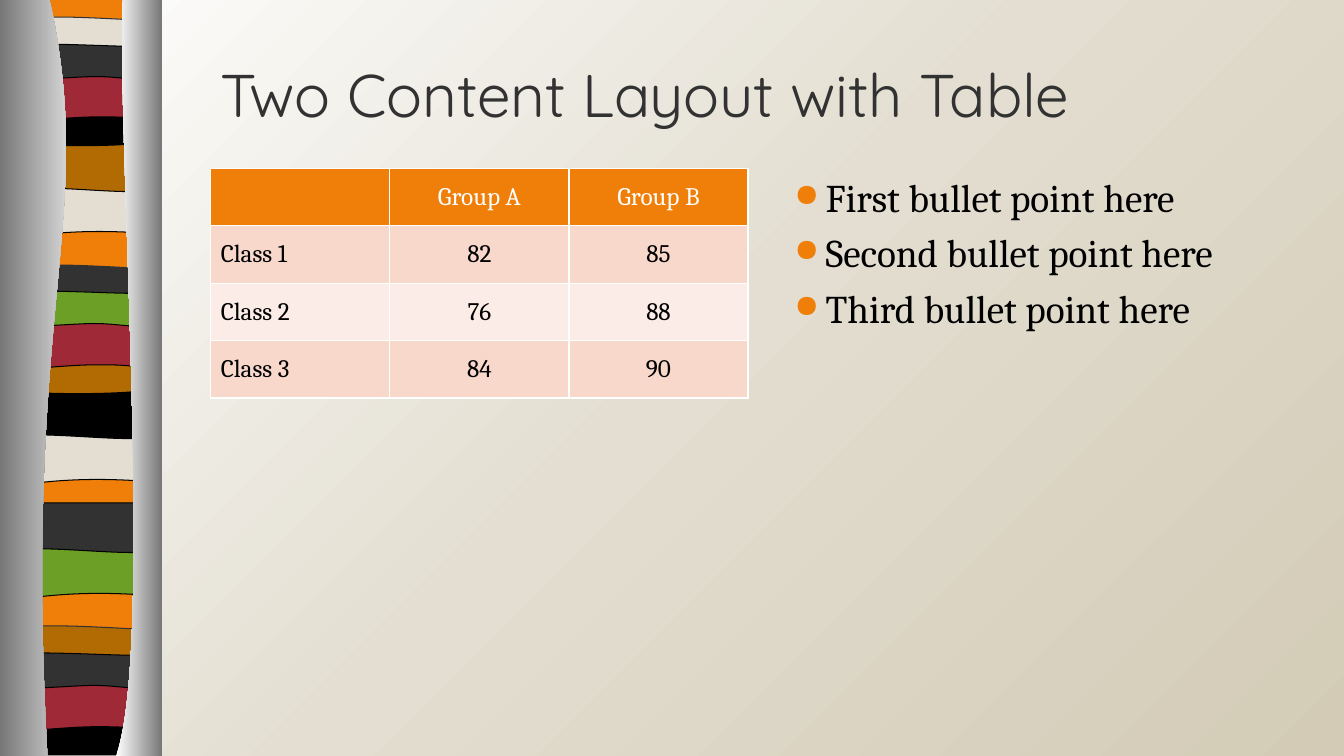
from lxml import etree
from pptx import Presentation
from pptx.dml.color import RGBColor
from pptx.enum.shapes import MSO_SHAPE
from pptx.enum.text import MSO_ANCHOR, PP_ALIGN
from pptx.oxml import parse_xml
from pptx.oxml.ns import nsdecls, qn
from pptx.util import Inches, Pt

RECT = MSO_SHAPE.RECTANGLE
MIDDLE, TOP = MSO_ANCHOR.MIDDLE, MSO_ANCHOR.TOP
LEFT, CENTER = PP_ALIGN.LEFT, PP_ALIGN.CENTER

ORANGE, CREAM, BROWN, BLACK = "F07F09", "E3DED1", "B26B02", "000000"
RED, DARK, GREEN, WHITE = "9F2936", "323232", "6B9F25", "FFFFFF"
GREY, SAND = "767676", "D3CBB6"
PINK, PALE_PINK = "F9D8CC", "FCECE7"

TITLE = {"name": "Quicksand", "size": Pt(43), "color": DARK}
BODY = {"name": "Cambria", "size": Pt(28), "color": BLACK}
CELL = {"name": "Cambria", "size": Pt(18), "color": BLACK}

OUTLINES = {
    "dip": [(1.5, 0), (1.5, .47), (.46, .39, .24, .55, 0, .47), (0, 0)],
    "swell": [(1.5, 0), (1.5, .47), (1.24, .54, .46, .41, 0, .47), (0, 0)],
    "lens": [(1.5, .05), (1.5, .29), (1.25, .33, .25, .33, 0, .29), (0, .05),
             (.09, 0, .32, .01, .57, .01), (.82, .01, 1.3, .04, 1.5, .05)],
    "bowl": [(1.5, 0), (1.5, .33), (1.25, .39, .25, .39, 0, .33), (0, 0),
             (.92, .06, 1.18, 0, 1.5, 0)],
    "arch": [(1.5, 0), (1.5, .47), (1.27, .42, 1.17, .42, .92, .42),
             (.67, .42, .23, .47, 0, .47), (0, 0)],
    "band": [(1.5, .05), (1.5, .35), (1.39, .41, 1.16, .35, .92, .35),
             (.67, .35, .15, .41, 0, .35), (0, .05),
             (.21, 0, 1.01, .05, 1.26, .05), (1.51, .05, 1.44, .05, 1.5, .05)],
    "foot": [(1.5, 0), (1.5, .37), (.02, .37), (0, 0),
             (.92, .05, 1.18, 0, 1.5, 0)],
}
STRIPES = [
    ("dip", .04, 1.85, CREAM), ("swell", .04, 1.41, BROWN),
    ("lens", .04, .16, CREAM), ("bowl", .04, 1.07, BLACK),
    ("arch", .04, .74, RED), ("band", .04, .41, DARK),
    ("dip", .02, 4.31, CREAM), ("swell", .02, 3.86, BLACK),
    ("lens", .02, 2.62, DARK), ("bowl", .02, 3.53, BROWN),
    ("arch", .02, 3.2, RED), ("band", .02, 2.86, GREEN),
    ("dip", .04, 5.44, GREEN), ("swell", .04, 4.99, DARK),
    ("lens", .02, 6.2, BROWN), ("foot", .02, 7.12, BLACK),
    ("arch", .02, 6.79, RED), ("band", .02, 6.45, DARK),
]
LEFT_PANEL = [(.49, -.01), (.97, 2.17, .22, 2.96, .47, 7.5), (0, 7.5), (-.01, -.01)]
RIGHT_PANEL = [(1.22, -.01), (1.15, 1.25, 1.54, 6.47, 1.15, 7.5), (1.61, 7.5), (1.61, 0)]

ROWS = [("", "Group A", "Group B"), ("Class 1", "82", "85"),
        ("Class 2", "76", "88"), ("Class 3", "84", "90")]
BULLETS = ["First bullet point here", "Second bullet point here",
           "Third bullet point here"]


def rgb(code):
    """Turn a hex string into a colour."""
    return RGBColor.from_string(code)


def paint(s, fill, line=None):
    """Give a shape a flat fill and an optional thin outline."""
    s.shadow.inherit = False
    s.fill.solid()
    s.fill.fore_color.rgb = rgb(fill)
    if line:
        s.line.color.rgb = rgb(line)
        s.line.width = Pt(.75)
    else:
        s.line.fill.background()


def paint_gradient(s, stops, shade):
    """Replace the flat fill of a shape by a gradient."""
    paint(s, stops[0][1])
    gs = "".join(f'<a:gs pos="{pos * 1000}"><a:srgbClr val="{code}"/></a:gs>'
                 for pos, code in stops)
    grad = parse_xml(f'<a:gradFill {nsdecls("a")} rotWithShape="1">'
                     f'<a:gsLst>{gs}</a:gsLst>{shade}</a:gradFill>')
    solid = s._element.spPr.find(qn("a:solidFill"))
    solid.getparent().replace(solid, grad)


def add_outline(sp, outline, x, y):
    """Draw a closed outline of corners and cubic curves, offset by x and y."""
    pts = [(Inches(x + part[i]), Inches(y + part[i + 1]))
           for part in outline for i in range(0, len(part), 2)]
    fb = sp.build_freeform(*pts[0])
    fb.add_line_segments(pts[1:], close=True)
    s = fb.convert_to_shape()
    segments = s._element.findall(".//" + qn("a:lnTo"))
    for part in outline[1:]:
        count = len(part) // 2
        group, segments = segments[:count], segments[count:]
        if count == 3:
            curve = etree.Element(qn("a:cubicBezTo"))
            group[0].addprevious(curve)
            for segment in group:
                curve.append(segment[0])
                segment.getparent().remove(segment)
    return s


def write(p, text, style, align=LEFT):
    """Put one styled run in a paragraph."""
    p.alignment = align
    r = p.add_run()
    r.text = text
    for name, value in style.items():
        if name == "color":
            r.font.color.rgb = rgb(value)
        else:
            setattr(r.font, name, value)


def add_text_frame(sp, box, anchor):
    """Add a wrapping text box and return its frame."""
    tf = sp.add_textbox(*map(Inches, box)).text_frame
    tf.word_wrap = True
    tf.vertical_anchor = anchor
    return tf


def add_background(sp, box):
    """Cover the slide with a corner gradient."""
    s = sp.add_shape(RECT, *map(Inches, box))
    paint_gradient(s, [(0, SAND), (50, CREAM), (100, WHITE)],
                   '<a:path path="circle"><a:fillToRect l="100000" t="100000"/></a:path>')


def add_ribbon(sp, x, y):
    """Stack the coloured stripes between two curved panels."""
    base = sp.add_shape(RECT, *map(Inches, (x + .04, y - .01, 1.5, 7.48)))
    paint(base, ORANGE, BLACK)
    for kind, dx, dy, fill in STRIPES:
        s = add_outline(sp, OUTLINES[kind], x + dx, y + dy)
        paint(s, fill, DARK if kind == "lens" else BLACK)
    for outline, ends in ((LEFT_PANEL, (GREY, WHITE)), (RIGHT_PANEL, (WHITE, GREY))):
        s = add_outline(sp, outline, x, y)
        paint_gradient(s, list(zip((0, 100), ends)), '<a:lin ang="0" scaled="0"/>')


def add_title(sp, box, text):
    """Add the slide title."""
    write(add_text_frame(sp, box, MIDDLE).paragraphs[0], text, TITLE)


def add_bullets(sp, box, items):
    """Add the bulleted list."""
    tf = add_text_frame(sp, box, TOP)
    for i, item in enumerate(items):
        p = tf.add_paragraph() if i else tf.paragraphs[0]
        write(p, item, BODY)
        p.space_before = Pt(6)
        pPr = p._p.get_or_add_pPr()
        pPr.set("marL", str(Inches(.4)))
        pPr.set("indent", str(Inches(-.31)))
        clr = etree.SubElement(pPr, qn("a:buClr"))
        etree.SubElement(clr, qn("a:srgbClr"), val=ORANGE)
        etree.SubElement(pPr, qn("a:buSzPct"), val="80000")
        etree.SubElement(pPr, qn("a:buFont"), typeface="OpenSymbol")
        etree.SubElement(pPr, qn("a:buChar"), char="●")


def add_scores(sp, box, rows):
    """Add the table of scores with a header and banded rows."""
    table = sp.add_table(len(rows), len(rows[0]), *map(Inches, box)).table
    for i, row in enumerate(rows):
        fill = (PINK if i % 2 else PALE_PINK) if i else ORANGE
        style = CELL if i else {**CELL, "color": WHITE, "bold": False}
        for j, text in enumerate(row):
            cell = table.cell(i, j)
            cell.vertical_anchor = MIDDLE
            cell.fill.solid()
            cell.fill.fore_color.rgb = rgb(fill)
            if text:
                write(cell.text_frame.paragraphs[0], text, style, CENTER if j else LEFT)


def build_slide(prs):
    """Lay out the table and bullet slide."""
    sp = prs.slides.add_slide(prs.slide_layouts[6]).shapes
    add_background(sp, (0, 0, 13.33, 7.5))
    add_ribbon(sp, 0, 0)
    add_bullets(sp, (7.69, 1.67, 5.33, 5.1), BULLETS)
    add_scores(sp, (2.09, 1.67, 5.33, 2.28), ROWS)
    add_title(sp, (2.09, .3, 10.93, 1.25), "Two Content Layout with Table")


prs = Presentation()
prs.slide_width, prs.slide_height = Inches(13.33), Inches(7.5)
build_slide(prs)
prs.save("out.pptx")
